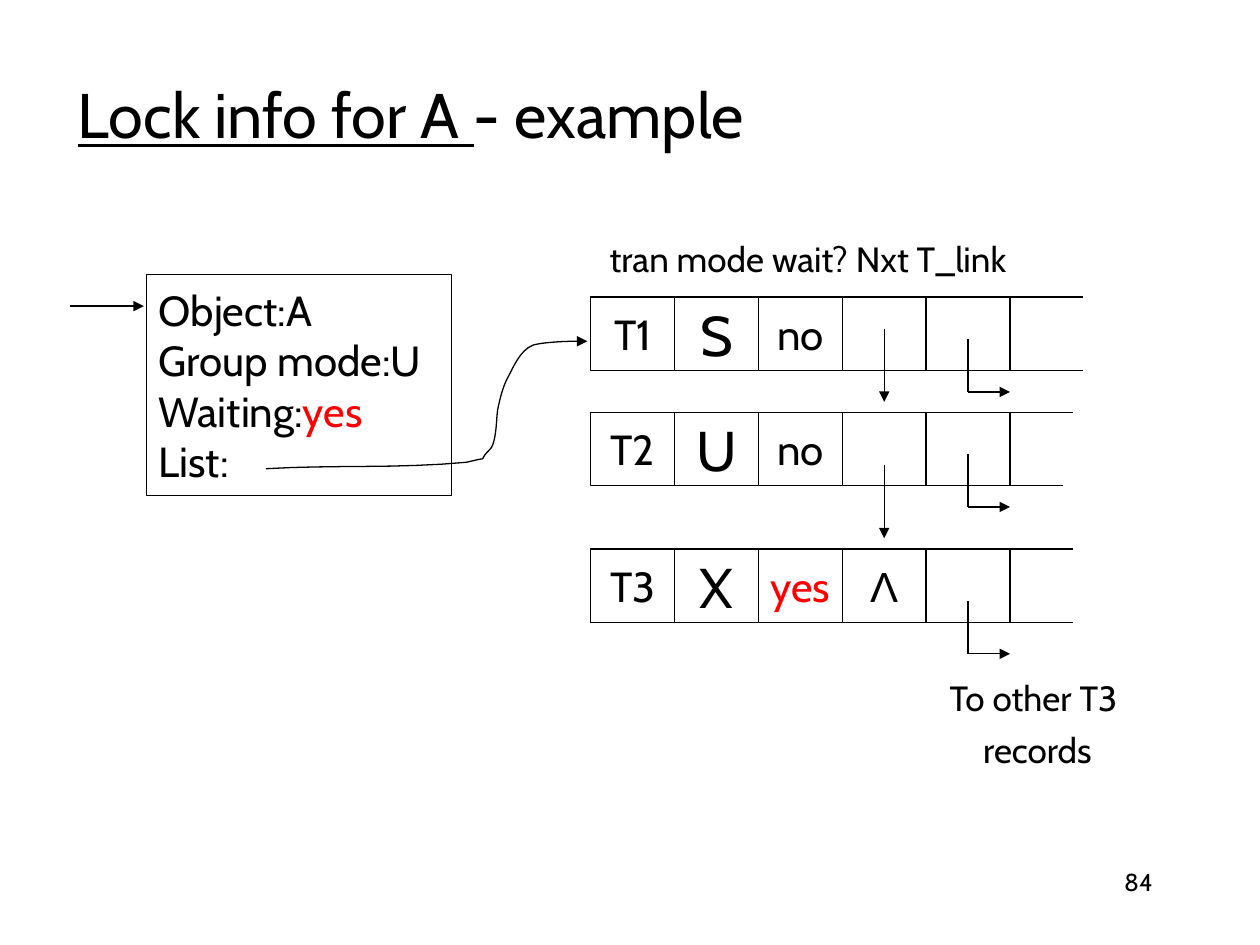
"""Build the lock info example slide: a lock entry and its list of transactions."""
import pptx
import pptx.util
import pptx.dml.color
import pptx.enum.shapes
import pptx.enum.text
import pptx.oxml
import pptx.oxml.ns
from lxml import etree

Cm, Pt = pptx.util.Cm, pptx.util.Pt
ALIGN = pptx.enum.text.PP_ALIGN
SHAPE = pptx.enum.shapes.MSO_SHAPE
BLACK = pptx.dml.color.RGBColor(0, 0, 0)
WHITE = pptx.dml.color.RGBColor(255, 255, 255)
RED = pptx.dml.color.RGBColor(255, 0, 0)

prs = pptx.Presentation()
prs.slide_width, prs.slide_height = Cm(25.4), Cm(19.05)
s = prs.slides.add_slide(prs.slide_layouts[6])


def write(sp, paragraphs, size, align=ALIGN.LEFT, wrap=True, font="Cabin"):
    tf = sp.text_frame
    tf.word_wrap = wrap
    tf.vertical_anchor = pptx.enum.text.MSO_ANCHOR.MIDDLE
    for i, runs in enumerate(paragraphs):
        p = tf.add_paragraph() if i else tf.paragraphs[0]
        p.alignment = align
        for text, color in runs:
            r = p.add_run()
            r.text = text
            r.font.name, r.font.size = font, Pt(size)
            r.font.color.rgb = color
    return tf


def line(x1, y1, x2, y2, arrow=False):
    c = s.shapes.add_connector(
        pptx.enum.shapes.MSO_CONNECTOR.STRAIGHT, Cm(x1), Cm(y1), Cm(x2), Cm(y2))
    c.line.color.rgb, c.line.width = BLACK, Pt(0.75)
    if arrow:
        etree.SubElement(c.line._get_or_add_ln(), pptx.oxml.ns.qn("a:tailEnd"), type="triangle")
    etree.SubElement(c._element.spPr, pptx.oxml.ns.qn("a:effectLst"))


sp = s.shapes.add_textbox(Cm(1.32), Cm(0.91), Cm(21.59), Cm(2.77))
tf = write(sp, [[("Lock info for A ", BLACK), ("- example", BLACK)]], 36)
tf.paragraphs[0].runs[0].font.underline = True

sp = s.shapes.add_textbox(Cm(12.04), Cm(4.5), Cm(11), Cm(1.42))
write(sp, [[("tran mode wait? Nxt T_link", BLACK)]], 20)

sp = s.shapes.add_textbox(Cm(18.21), Cm(17.35), Cm(5.28), Cm(1.27))
tf = write(sp, [[("84", BLACK)]], 14, ALIGN.RIGHT)
tf.vertical_anchor = pptx.enum.text.MSO_ANCHOR.TOP

sp = s.shapes.add_shape(SHAPE.RECTANGLE, Cm(2.95), Cm(5.54), Cm(6.15), Cm(4.45))
sp.shadow.inherit = False
sp.fill.solid()
sp.fill.fore_color.rgb = WHITE
sp.line.color.rgb, sp.line.width = BLACK, Pt(0.75)
write(sp, [
    [("Object:A", BLACK)],
    [("Group mode:U", BLACK)],
    [("Waiting:", BLACK), ("yes", RED)],
    [("List:", BLACK)],
], 24)
line(1.42, 6.17, 2.9, 6.17, arrow=True)

LEFT, CELL_W, CELL_H = 11.91, 1.69, 1.48
RIGHT = LEFT + 5 * CELL_W
NEXT_X, LINK_X = LEFT + 3.5 * CELL_W, LEFT + 4.5 * CELL_W
records = [
    (5.99, ("T1", "S", "no", "", ""), 1.47, 1.47),
    (8.31, ("T2", "U", "no", "", ""), 1.27, 1.07),
    (11.07, ("T3", "X", "yes", "Λ", ""), 1.27, 1.27),
]
for top, values, upper, lower in records:
    for col, value in enumerate(values):
        sp = s.shapes.add_shape(
            SHAPE.RECTANGLE, Cm(LEFT + col * CELL_W), Cm(top), Cm(CELL_W), Cm(CELL_H))
        sp.shadow.inherit = False
        sp.fill.solid()
        sp.fill.fore_color.rgb = WHITE
        sp.line.color.rgb, sp.line.width = BLACK, Pt(0.75)
        if value:
            write(sp, [[(value, RED if value == "yes" else BLACK)]], 32 if col == 1 else 24,
                  ALIGN.CENTER, False, "Arial" if value == "Λ" else "Cabin")
    line(RIGHT, top, RIGHT + upper, top)
    line(RIGHT, top + CELL_H, RIGHT + lower, top + CELL_H)

for y in (6.63, 9.38):
    line(NEXT_X, y, NEXT_X, y + 1.47, arrow=True)
for y in (6.84, 9.16, 12.12):
    line(LINK_X, y, LINK_X, y + 1.06)
    line(LINK_X, y + 1.06, RIGHT, y + 1.06, arrow=True)

sp = s.shapes.add_textbox(Cm(18.68), Cm(13.51), Cm(4.47), Cm(2.13))
tf = write(sp, [[("To other T3 ", BLACK)], [("records", BLACK)]], 20, ALIGN.CENTER, False)
tf.paragraphs[1].space_before = Pt(12.5)
tf.paragraphs[1].line_spacing = 0.7

start = (5.36, 9.45)
curves = [
    ((6.71, 9.37), (8.05, 9.45), (9.4, 9.32)),
    ((9.5, 9.3), (9.6, 9.27), (9.73, 9.25)),
    ((9.78, 9.14), (9.86, 9.09), (9.91, 9.02)),
    ((10.01, 8.84), (10.01, 8.43), (10.03, 8.28)),
    ((10.08, 8.04), (10.13, 7.8), (10.26, 7.57)),
    ((10.39, 7.32), (10.54, 6.96), (10.87, 6.93)),
    ((11.23, 6.88), (11.48, 6.88), (11.84, 6.88)),
]
STEPS = 8
points = [start]
for b, c, d in curves:
    a = points[-1]
    for t in (i / STEPS for i in range(1, STEPS + 1)):
        u = 1 - t
        points.append(tuple(
            u**3 * a[k] + 3 * u * u * t * b[k] + 3 * u * t * t * c[k] + t**3 * d[k]
            for k in range(2)))
fb = s.shapes.build_freeform(Cm(start[0]), Cm(start[1]))
fb.add_line_segments([(Cm(x), Cm(y)) for x, y in points[1:]], close=False)
sp = fb.convert_to_shape()
sp.shadow.inherit = False
sp.fill.background()
sp.line.color.rgb, sp.line.width = BLACK, Pt(0.75)
etree.SubElement(sp.line._get_or_add_ln(), pptx.oxml.ns.qn("a:tailEnd"), type="triangle")

prs.save("out.pptx")
